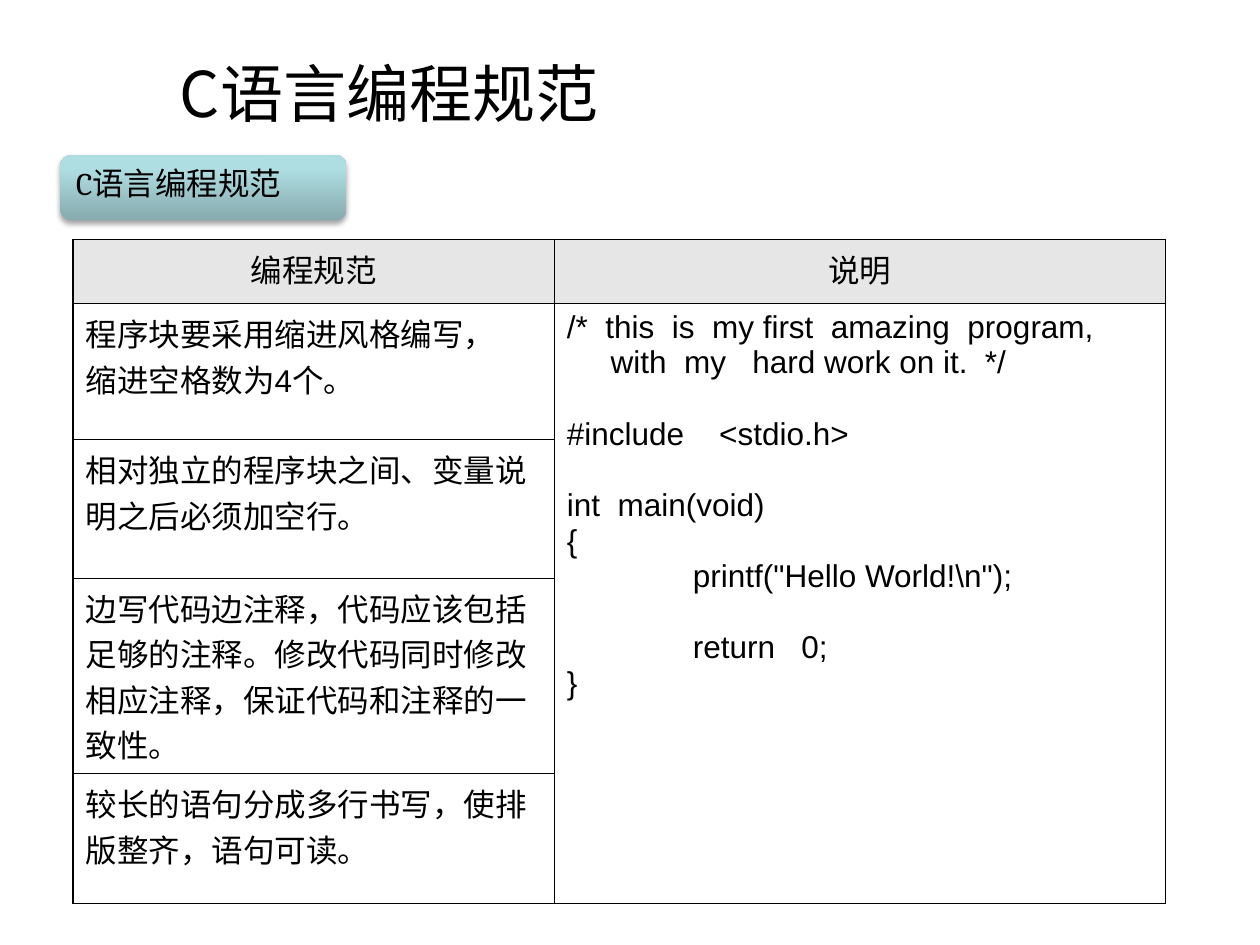
"""Builds the slide on C coding conventions: title, label and rule table."""
from lxml import etree
from pptx import Presentation
from pptx.dml.color import RGBColor
from pptx.enum import shapes, text
from pptx.oxml import parse_xml
from pptx.oxml.ns import nsdecls, qn
from pptx.util import Pt

THEME = dict(ink="000000", head="E6E6E6", title=36, body=18,
             cjk="Noto Sans CJK SC", label="Cambria", table="Arial",
             stops=((0, "87ABAE"), (80, "AFDEE2"), (100, "AFE0E4")))
LINE = 20.7


def write(tf, value, size=THEME["body"], font=THEME["table"], align=text.PP_ALIGN.LEFT,
          indent=0, before=0, first=True):
    p = tf.paragraphs[0] if first else tf.add_paragraph()
    p.alignment = align
    p.space_before = Pt(before)
    p._p.get_or_add_pPr().set("marL", str(Pt(indent)))
    r = p.add_run()
    r.text = value
    r.font.size = Pt(size)
    r.font.name = font
    r.font.color.rgb = RGBColor.from_string(THEME["ink"])
    etree.SubElement(r._r.get_or_add_rPr(), qn("a:ea"), typeface=THEME["cjk"])


def add_borders(cell):
    tcPr = cell._tc.get_or_add_tcPr()
    for i, side in enumerate(("lnL", "lnR", "lnT", "lnB")):
        tcPr.insert(i, parse_xml(
            f'<a:{side} {nsdecls("a")} w="{Pt(1)}"><a:solidFill>'
            f'<a:srgbClr val="{THEME["ink"]}"/></a:solidFill></a:{side}>'))


prs = Presentation()
prs.slide_width, prs.slide_height = Pt(720), Pt(540)
s = prs.slides.add_slide(prs.slide_layouts[6])

title = s.shapes.add_textbox(Pt(95.76), Pt(30.24), Pt(581.76), Pt(44.64))
tf = title.text_frame
tf.word_wrap = True
tf.vertical_anchor = text.MSO_ANCHOR.MIDDLE
write(tf, "C语言编程规范", size=THEME["title"], font=THEME["cjk"])

label = s.shapes.add_shape(shapes.MSO_SHAPE.ROUNDED_RECTANGLE,
                           Pt(34.56), Pt(88.56), Pt(163.44), Pt(37.44))
label.adjustments[0] = 0.17
label.line.fill.background()
stops = "".join(f'<a:gs pos="{pos * 1000}"><a:srgbClr val="{color}"/></a:gs>'
                for pos, color in THEME["stops"])
spPr = label._element.spPr
spPr.find(qn("a:prstGeom")).addnext(parse_xml(
    f'<a:gradFill {nsdecls("a")} rotWithShape="1"><a:gsLst>{stops}</a:gsLst>'
    '<a:lin ang="16200000" scaled="0"/></a:gradFill>'))
spPr.append(parse_xml(
    f'<a:effectLst {nsdecls("a")}><a:outerShdw blurRad="{Pt(3.1)}" dist="{Pt(1.8)}" '
    f'dir="5400000" rotWithShape="0"><a:srgbClr val="{THEME["ink"]}">'
    '<a:alpha val="35000"/></a:srgbClr></a:outerShdw></a:effectLst>'))
tf = label.text_frame
tf.word_wrap = True
tf.vertical_anchor = text.MSO_ANCHOR.TOP
write(tf, "C语言编程规范", font=THEME["label"])

headings = ("编程规范", "说明")
rules = (
    ("程序块要采用缩进风格编写，", "缩进空格数为4个。"),
    ("相对独立的程序块之间、变量说明之后必须加空行。",),
    ("边写代码边注释，代码应该包括足够的注释。修改代码同时修改相应注释，保证代码和注释的一致性。",),
    ("较长的语句分成多行书写，使排版整齐，语句可读。",),
)
code = (
    ("/*  this  is  my first  amazing  program,", 0, 0),
    ("with  my   hard work on it.  */", 25, 0),
    ("#include    <stdio.h>", 0, LINE),
    ("int  main(void)", 0, LINE),
    ("{", 0, 0),
    ('printf("Hello World!\\n");', 72, 0),
    ("return   0;", 72, LINE),
    ("}", 0, 0),
)
widths = (275.04, 349.2)
heights = (36.72, 77.76, 79.2, 111.6, 74.16)

table = s.shapes.add_table(len(heights), len(widths), Pt(41.76), Pt(136.8),
                           Pt(sum(widths)), Pt(sum(heights))).table
for column, width in zip(table.columns, widths):
    column.width = Pt(width)
for row, height in zip(table.rows, heights):
    row.height = Pt(height)
for i, row in enumerate(table.rows):
    for cell in row.cells:
        if i:
            cell.fill.background()
        else:
            cell.fill.solid()
            cell.fill.fore_color.rgb = RGBColor.from_string(THEME["head"])
        add_borders(cell)
table.cell(1, 1).merge(table.cell(4, 1))

for c, heading in enumerate(headings):
    write(table.cell(0, c).text_frame, heading, align=text.PP_ALIGN.CENTER)
for i, rule in enumerate(rules, 1):
    for n, value in enumerate(rule):
        write(table.cell(i, 0).text_frame, value, first=n == 0)
for n, (value, indent, before) in enumerate(code):
    write(table.cell(1, 1).text_frame, value, indent=indent, before=before, first=n == 0)

prs.save("out.pptx")
